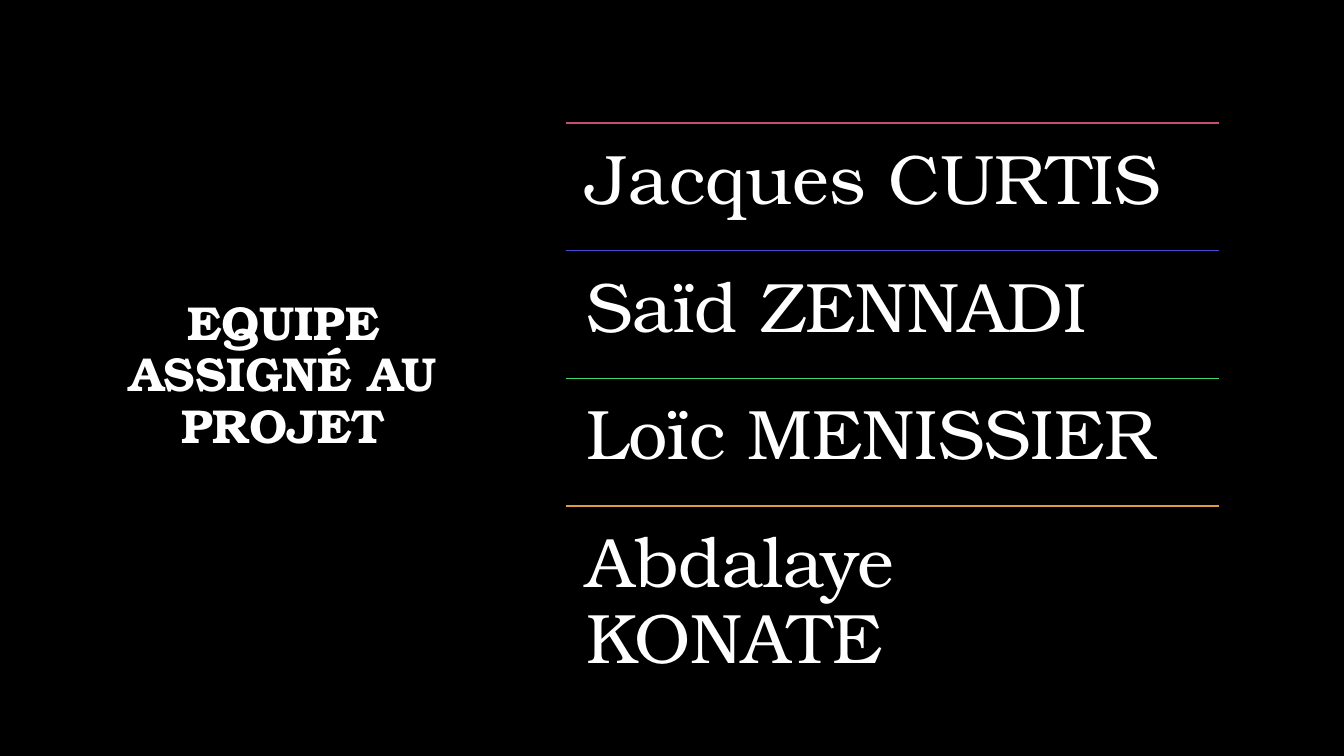
import dataclasses

import pptx
import pptx.dml.color
import pptx.enum.shapes
import pptx.enum.text
import pptx.oxml.ns
import pptx.util
from lxml import etree

Inches = pptx.util.Inches
Pt = pptx.util.Pt


@dataclasses.dataclass(frozen=True)
class Theme:
    """Colours, font and type sizes of the slide."""

    background: str = "000000"
    text: str = "FFFFFF"
    rules: tuple = ("C54F71", "4949CD", "42D66E", "DE9C3C")
    font: str = "TeX Gyre Bonum"
    title_size: int = 34
    member_size: int = 50
    rule_width: int = 1
    line_spacing: float = 0.9


THEME = Theme()
MEMBERS = ("Jacques CURTIS", "Saïd ZENNADI", "Loïc MENISSIER", "Abdalaye KONATE")
LIST_LEFT, LIST_TOP, LIST_WIDTH = 5.61, 1.22, 6.48
ROW_HEIGHT = 1.267
INSET = 0.21


def rgb(code):
    """Return the colour for a hexadecimal code."""
    return pptx.dml.color.RGBColor.from_string(code)


def write(frame, text, size, bold=False):
    """Fill a text frame with one styled paragraph and return it."""
    frame.text = text
    frame.word_wrap = True
    frame.auto_size = pptx.enum.text.MSO_AUTO_SIZE.NONE
    paragraph = frame.paragraphs[0]
    paragraph.line_spacing = THEME.line_spacing
    font = paragraph.runs[0].font
    font.name = THEME.font
    font.size = Pt(size)
    font.bold = bold
    font.color.rgb = rgb(THEME.text)
    return paragraph


def place_title(slide, text):
    """Move the title to the left column and centre it."""
    title = slide.shapes.title
    title.left, title.top = Inches(0.82), Inches(0.67)
    title.width, title.height = Inches(3.98), Inches(6.13)
    heading = write(title.text_frame, text, THEME.title_size, bold=True)
    heading.alignment = pptx.enum.text.PP_ALIGN.CENTER
    title.text_frame.vertical_anchor = pptx.enum.text.MSO_ANCHOR.MIDDLE


def add_rule(slide, top, color):
    """Draw the coloured line above a team member."""
    rule = slide.shapes.add_connector(
        pptx.enum.shapes.MSO_CONNECTOR.STRAIGHT,
        Inches(LIST_LEFT), Inches(top),
        Inches(LIST_LEFT + LIST_WIDTH), Inches(top),
    )
    rule.line.color.rgb = rgb(color)
    rule.line.width = Pt(THEME.rule_width)
    properties = rule._element.spPr
    etree.SubElement(properties, pptx.oxml.ns.qn("a:effectLst"))


def add_member(slide, top, name):
    """Write the name of a team member below its line."""
    member = slide.shapes.add_textbox(
        Inches(LIST_LEFT), Inches(top), Inches(LIST_WIDTH), Inches(ROW_HEIGHT)
    )
    frame = member.text_frame
    frame.margin_left = frame.margin_right = Inches(INSET)
    frame.margin_top = frame.margin_bottom = Inches(INSET)
    write(frame, name, THEME.member_size)


def main():
    """Build the team slide and save it."""
    presentation = pptx.Presentation()
    presentation.slide_width = Inches(13.33)
    presentation.slide_height = Inches(7.5)
    slide = presentation.slides.add_slide(presentation.slide_layouts[5])
    slide.background.fill.solid()
    slide.background.fill.fore_color.rgb = rgb(THEME.background)

    place_title(slide, "EQUIPE ASSIGNÉ AU PROJET")
    for row, (name, color) in enumerate(zip(MEMBERS, THEME.rules)):
        top = LIST_TOP + row * ROW_HEIGHT
        add_rule(slide, top, color)
        add_member(slide, top, name)

    presentation.save("out.pptx")


main()
